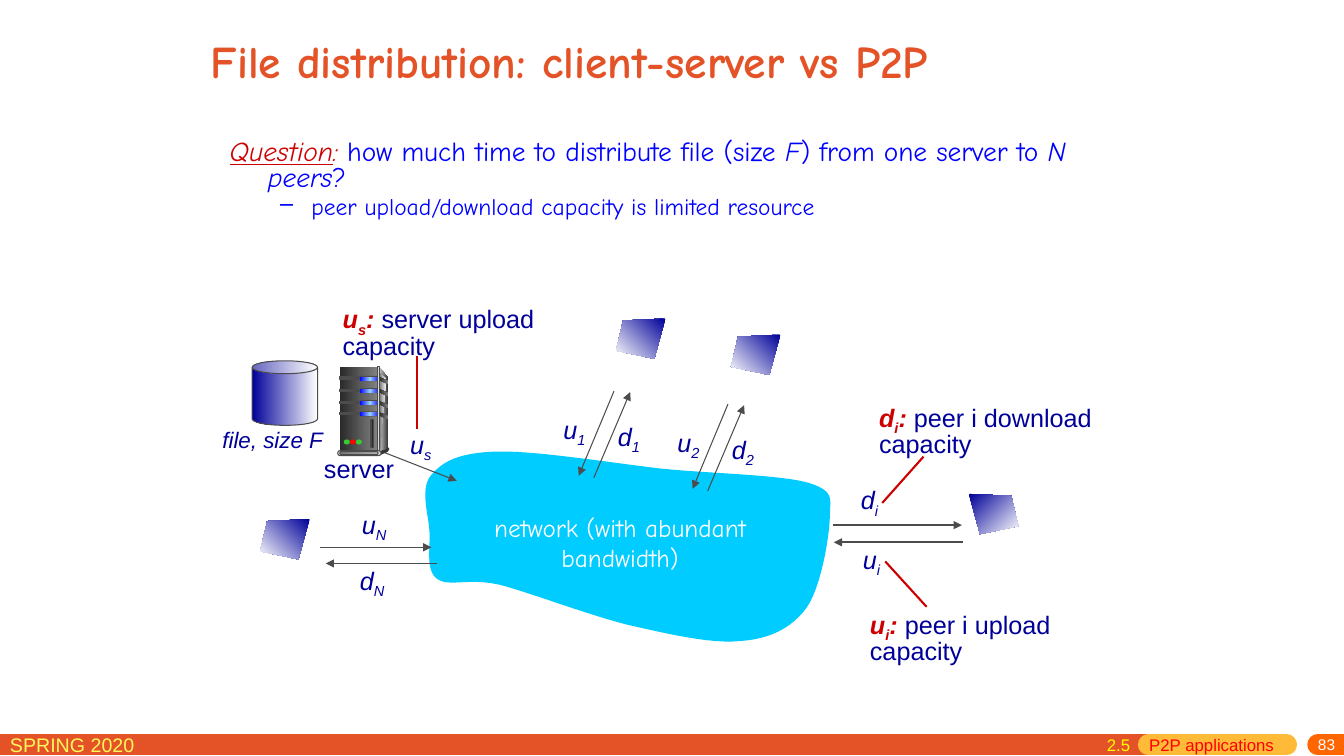
from lxml.etree import SubElement
from pptx import Presentation
from pptx.dml.color import RGBColor
from pptx.enum.shapes import MSO_CONNECTOR, MSO_SHAPE
from pptx.enum.text import MSO_ANCHOR, MSO_AUTO_SIZE, PP_ALIGN
from pptx.oxml.ns import qn
from pptx.util import Inches, Pt

COLORS = {
    "title": "E45327", "section": "FFBA37", "page": "FF6600", "term": "FFF65C", "yellow": "FFFF00",
    "accent": "CC0000", "navy": "000099", "cloud": "00CCFF", "white": "FFFFFF", "gray": "4C4C4C",
    "black": "292929", "charcoal": "333333", "mid": "808080", "silver": "DDDDDD", "pale": "F8F8F8",
    "steel": "777777", "ash": "B2B2B2", "blue": "0000FF", "sky": "99CCFF", "green": "33CC33",
    "red": "FF0000",
}
CLOUD_START = (4.93, 4.48)
CLOUD_CURVES = [
    ((4.55, 4.49), (4.39, 4.58), (4.28, 4.71)), ((4.16, 4.84), (4.25, 5.1), (4.26, 5.27)),
    ((4.27, 5.44), (4.22, 5.65), (4.33, 5.74)), ((4.45, 5.83), (4.63, 5.73), (4.95, 5.8)),
    ((5.26, 5.88), (5.83, 6.1), (6.23, 6.2)), ((6.63, 6.29), (7.05, 6.39), (7.34, 6.36)),
    ((7.64, 6.34), (7.85, 6.23), (8, 6.03)), ((8.14, 5.83), (8.22, 5.36), (8.23, 5.15)),
    ((8.23, 4.94), (8.29, 4.88), (8.02, 4.79)), ((7.74, 4.71), (7.07, 4.7), (6.56, 4.65)),
    ((6.05, 4.59), (5.31, 4.47), (4.93, 4.48)),
]


def curve_points(start, curves, steps=12):
    """Points along a chain of cubic Bezier curves."""
    points = [start]
    for a, b, end in curves:
        p = points[-1]
        for t in (step / steps for step in range(1, steps + 1)):
            weights = ((1 - t) ** 3, 3 * t * (1 - t) ** 2, 3 * t * t * (1 - t), t ** 3)
            points.append(tuple(sum(w * q[axis] for w, q in zip(weights, (p, a, b, end)))
                                for axis in (0, 1)))
    return points


class SlideBuilder:
    font, heading_font = "Arial", "Comic Neue"

    def __init__(self, slide):
        self.shapes = slide.shapes

    def style_font(self, font, color=None, **style):
        if color:
            font.color.rgb = RGBColor.from_string(COLORS[color])
        for name, value in style.items():
            setattr(font, name, value)

    def add_runs(self, paragraph, runs, size, color, name=font, **style):
        """Runs are strings or (text, overrides); the override sub makes a subscript."""
        self.style_font(paragraph.font, color, size=Pt(size), name=name, **style)
        for item in runs:
            text, changes = (item, {}) if isinstance(item, str) else item
            run = paragraph.add_run()
            run.text = text
            self.style_font(run.font, **{k: v for k, v in changes.items() if k != "sub"})
            if "sub" in changes:
                run.font._element.set("baseline", "-25000")

    def title(self, text, *box):
        shape = self.shapes.title
        shape.left, shape.top, shape.width, shape.height = map(Inches, box)
        frame = shape.text_frame
        frame.auto_size = MSO_AUTO_SIZE.NONE
        frame.vertical_anchor = MSO_ANCHOR.MIDDLE
        frame.paragraphs[0].alignment = PP_ALIGN.LEFT
        self.add_runs(frame.paragraphs[0], [text], 32.4, "title", self.heading_font, bold=True)

    def frame(self, *box):
        frame = self.shapes.add_textbox(*map(Inches, box)).text_frame
        frame.word_wrap = True
        return frame

    def text(self, box, runs, size=18, color="navy", align=PP_ALIGN.LEFT, spacing=None, **style):
        frame = self.frame(*box)
        paragraph = frame.paragraphs[0]
        paragraph.alignment, paragraph.line_spacing = align, spacing
        self.add_runs(paragraph, runs, size, color, **style)
        return frame

    def rate_label(self, letter, index, left, top):
        self.text((left, top, 0.67, 0.4), [letter, (index, {"sub": True})], italic=True)

    def callout(self, letter, index, meaning, box):
        symbol = {"color": "accent", "bold": True, "italic": True}
        self.text(box, [(letter, symbol), (index, {**symbol, "sub": True}),
                        (": ", symbol), meaning], spacing=0.85)

    def line(self, start, end, color="gray", width=0.75, arrow=False, round_cap=False):
        line = self.shapes.add_connector(MSO_CONNECTOR.STRAIGHT, *map(Inches, start + end))
        line.line.color.rgb = RGBColor.from_string(COLORS[color])
        line.line.width = Pt(width)
        properties = line._element.spPr
        outline = properties.find(qn("a:ln"))
        if round_cap:
            outline.set("cap", "rnd")
        if arrow:
            SubElement(outline, qn("a:tailEnd"), type="triangle")
        SubElement(properties, qn("a:effectLst"))

    def paint(self, shape, fill, angle=0, outline=False):
        """A fill of several colour names is an even gradient at a clockwise angle."""
        shape.shadow.inherit = False
        if isinstance(fill, str):
            shape.fill.solid()
            shape.fill.fore_color.rgb = RGBColor.from_string(COLORS[fill])
        else:
            shape.fill.gradient()
            gradient = shape._element.spPr.find(qn("a:gradFill"))
            stops = gradient.find(qn("a:gsLst"))
            stops.clear()
            for i, name in enumerate(fill):
                stop = SubElement(stops, qn("a:gs"), pos=str(100000 * i // (len(fill) - 1)))
                SubElement(stop, qn("a:srgbClr"), val=COLORS[name])
            gradient.find(qn("a:lin")).set("ang", str(angle * 60000))
        if outline:
            shape.line.color.rgb = RGBColor.from_string(COLORS["gray"])
            shape.line.width = Pt(0.75)
        else:
            shape.line.fill.background()

    def preset(self, kind, box, fill, outline=False, adjust=None):
        shape = self.shapes.add_shape(kind, *map(Inches, box))
        if adjust is not None:
            shape.adjustments[0] = adjust
        self.paint(shape, fill, outline=outline)

    def polygon(self, points, fill, angle=0):
        corners = [(Inches(x), Inches(y)) for x, y in points]
        builder = self.shapes.build_freeform(*corners[0])
        builder.add_line_segments(corners[1:], close=True)
        self.paint(builder.convert_to_shape(), fill, angle)

    def screen(self, left, top, mirrored=False):
        corners = [(0.49, 0), (0.07, 0.02), (0, 0.32), (0.38, 0.4)]
        self.polygon([(left + (0.49 - x if mirrored else x), top + y) for x, y in corners],
                     ("navy", "white"), 45 if mirrored else 135)

    def server(self):
        rect, pill, dot = MSO_SHAPE.RECTANGLE, MSO_SHAPE.ROUNDED_RECTANGLE, MSO_SHAPE.OVAL
        self.polygon([(3.77, 3.65), (3.85, 3.75), (3.85, 4.45), (3.75, 4.48)], ("silver", "charcoal"))
        self.preset(rect, (3.37, 3.64, 0.37, 0.84), ("black", "mid"))
        self.polygon([(3.77, 3.7), (3.83, 3.76), (3.79, 4.2), (3.77, 4.46)], ("mid", "pale"))
        for top in (3.74, 3.86, 3.98, 4.09):
            self.preset(rect, (3.37, top, 0.21, 0.02), "gray", outline=True)
            self.preset(pill, (3.56, top - 0.01, 0.21, 0.05), "gray", adjust=0.5)
            self.preset(pill, (3.57, top, 0.2, 0.04), ("blue", "sky", "blue"), adjust=0.5)
            self.polygon([(3.76, top), (3.85, top + 0.04), (3.85, top + 0.07), (3.76, top + 0.03)],
                         ("black", "mid"))
        self.preset(rect, (3.74, 3.64, 0.02, 0.84), ("charcoal", "silver", "charcoal"), outline=True)
        self.preset(dot, (3.84, 4.44, 0.02, 0.03), "charcoal")
        self.polygon([(3.76, 4.48), (3.76, 4.52), (3.85, 4.48), (3.85, 4.45)], "charcoal")
        self.preset(pill, (3.35, 4.47, 0.43, 0.05), "silver", True, 0.5)
        self.preset(pill, (3.37, 4.48, 0.38, 0.03), ("steel", "ash"), True, 0.5)
        for i, color in enumerate(("green", "red", "green")):
            self.preset(dot, (3.41 + i * 0.06, 4.36, 0.06, 0.05), color)
        self.preset(rect, (3.68, 4.16, 0.03, 0.28), "black", outline=True)

    def footer(self):
        self.line((0, 7.39), (11.39, 7.39), "title", 15)
        self.line((11.39, 7.39), (12.76, 7.39), "section", 15, round_cap=True)
        self.line((13.07, 7.39), (13.33, 7.39), "page", 15, round_cap=True)
        self.text((0, 7.22, 2.29, 0.31), ["SPRING 2020"], 14, "term")
        page = self.text((10.75, 7.32, 2.59, 0.18), ["83"], 11, "white", PP_ALIGN.RIGHT)
        page.margin_top, page.vertical_anchor = 0, MSO_ANCHOR.MIDDLE
        paragraph = self.frame(10.88, 7.24, 2.1, 0.31).paragraphs[0]
        tabs = SubElement(paragraph._p.get_or_add_pPr(), qn("a:tabLst"))
        SubElement(tabs, qn("a:tab"), pos=str(Inches(0.42)), algn="l")
        self.add_runs(paragraph, ["2.5\t", ("P2P applications", {"color": "red"})], 12, "yellow")

    def question(self):
        frame = self.frame(2.18, 1.34, 9.03, 0.97)
        first, second = frame.paragraphs[0], frame.add_paragraph()
        for paragraph, margin, indent in ((first, 0.38, -0.38), (second, 0.81, -0.31)):
            properties = paragraph._p.get_or_add_pPr()
            properties.set("marL", str(Inches(margin)))
            properties.set("indent", str(Inches(indent)))
            paragraph.line_spacing = 0.8
        second.space_before = Pt(3.4)
        SubElement(second._p.pPr, qn("a:buChar"), char="–")
        italic = {"italic": True}
        accent = {"color": "accent", **italic}
        self.add_runs(first, [
            ("Question", {**accent, "underline": True}), (":", accent),
            " how much time to distribute file (size ", ("F", italic),
            ") from one server to ", ("N peers", italic), "?"], 19.6, "blue", self.heading_font)
        self.add_runs(second, ["peer upload/download capacity is limited resource"],
                      16.8, "blue", self.heading_font)


def main():
    presentation = Presentation()
    presentation.slide_width, presentation.slide_height = Inches(13.33), Inches(7.5)
    builder = SlideBuilder(presentation.slides.add_slide(presentation.slide_layouts[5]))
    builder.footer()
    builder.title("File distribution: client-server vs P2P", 1.99, 0.17, 9.32, 0.85)
    builder.question()
    builder.polygon(curve_points(CLOUD_START, CLOUD_CURVES), "cloud")
    builder.text((4.66, 5.03, 2.98, 0.71), ["network (with abundant bandwidth)"], 18, "white",
                 PP_ALIGN.CENTER, name=builder.heading_font)
    builder.text((2.92, 4.45, 1.28, 0.4), ["server"], align=PP_ALIGN.CENTER)
    builder.text((1.94, 4.18, 1.53, 0.37), ["file, size F"], 16, align=PP_ALIGN.CENTER, italic=True)
    builder.callout("u", "s", "server upload capacity", (3.3, 2.98, 2.2, 0.61))
    builder.callout("u", "i", "peer i upload capacity", (8.53, 6.01, 2.4, 0.62))
    builder.callout("d", "i", "peer i download capacity", (8.62, 3.96, 2.32, 0.61))
    builder.preset(MSO_SHAPE.CAN, (2.5, 3.58, 0.65, 0.64), ("navy", "white"), True, 0.2)
    for index, dx, dy in (("1", 0, 0), ("2", 1.13, 0.13)):
        builder.rate_label("u", index, 5.49 + dx, 4.06 + dy)
        builder.rate_label("d", index, 6.03 + dx, 4.13 + dy)
        builder.line((6.09 + dx, 3.88 + dy), (5.74 + dx, 4.72 + dy), arrow=True)
        builder.line((5.89 + dx, 4.74 + dy), (6.25 + dx, 3.89 + dy), arrow=True)
    for label in (("u", "s", 3.97, 4.21), ("u", "N", 3.49, 5), ("d", "N", 3.47, 5.56),
                  ("d", "i", 8.44, 4.76), ("u", "i", 8.46, 5.35)):
        builder.rate_label(*label)
    for start, end, width in (((3.66, 4.43), (4.53, 4.77), 0.75), ((3.17, 5.43), (4.28, 5.43), 0.75),
                              ((4.33, 5.59), (3.23, 5.59), 0.75), ((8.26, 5.21), (9.54, 5.21), 1.5),
                              ((9.55, 5.38), (8.27, 5.38), 1.5)):
        builder.line(start, end, width=width, arrow=True)
    for start, end in (((4.14, 3.53), (4.14, 4.26)), ((9.16, 4.53), (8.75, 4.99)),
                       ((9.19, 6.02), (8.78, 5.57))):
        builder.line(start, end, "accent", 1.5)
    builder.server()
    for left, top in ((2.58, 5.15), (6.11, 3.16), (7.25, 3.32)):
        builder.screen(left, top)
    builder.screen(9.61, 4.9, mirrored=True)
    presentation.save("out.pptx")


if __name__ == "__main__":
    main()
